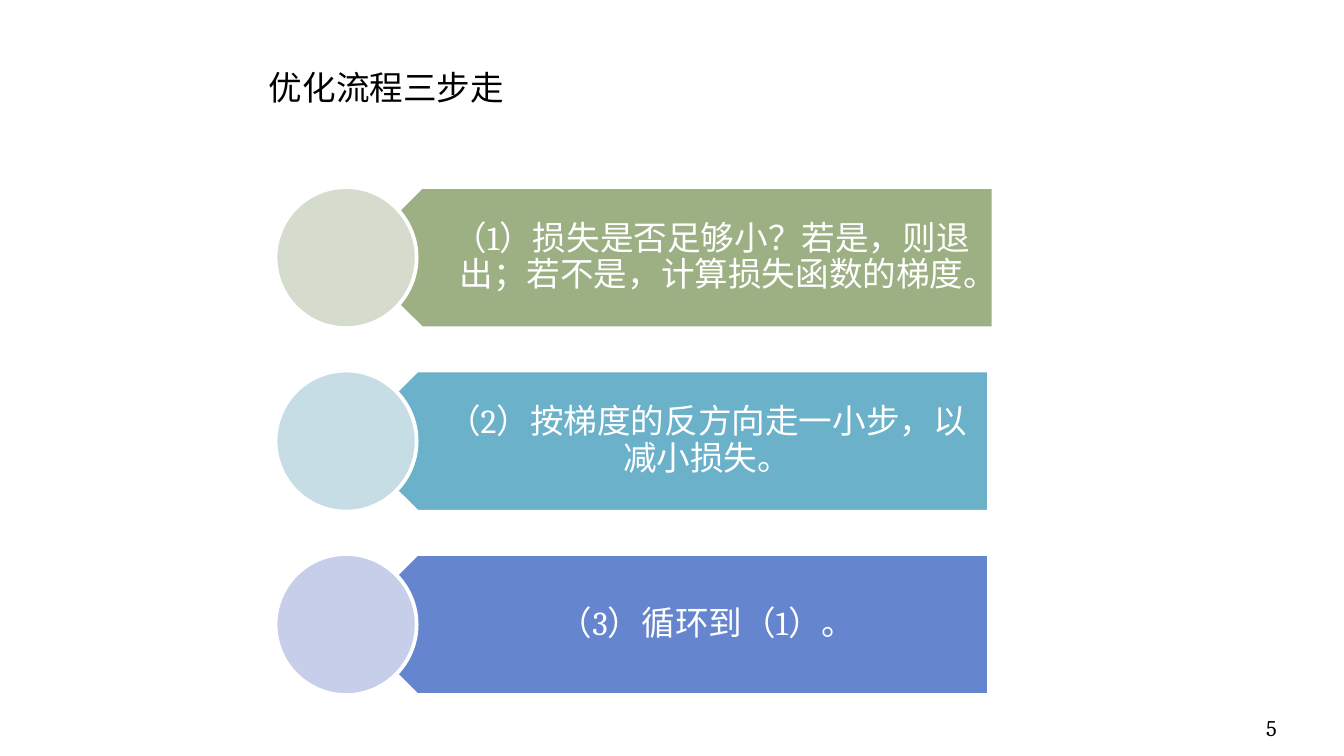
import pptx
import pptx.util
import pptx.dml.color
import pptx.enum.shapes
import pptx.enum.text

Pt = pptx.util.Pt
SHAPE = pptx.enum.shapes.MSO_SHAPE
ALIGN = pptx.enum.text.PP_ALIGN
ANCHOR = pptx.enum.text.MSO_ANCHOR

TITLE = "优化流程三步走"
PAGE = "5"
STEPS = [
    ("（1）损失是否足够小？若是，则退出；若不是，计算损失函数的梯度。", "9CB084", "D5DCCE", 188),
    ("（2）按梯度的反方向走一小步，以减小损失。", "6BB1C9", "C7DDE6", 185.6),
    ("（3）循环到（1）。", "6585CF", "C6CEE9", 185.6),
]
TOP, PITCH, SIZE = 100.2, 98.3, 75.6
CIRCLE_LEFT, ARROW_WIDTH = 147.6, 344.2
TEXT_INDENT = SIZE / 4


def paint(color_format, value):
    color_format.rgb = pptx.dml.color.RGBColor.from_string(value)


def write(sp, text, size=18, color="000000", align=ALIGN.LEFT,
          anchor=ANCHOR.TOP, insets=(7.2, 3.6, 7.2, 3.6), spacing=1.0):
    tf = sp.text_frame
    tf.word_wrap = True
    tf.auto_size = pptx.enum.text.MSO_AUTO_SIZE.NONE
    tf.vertical_anchor = anchor
    tf.margin_left, tf.margin_top, tf.margin_right, tf.margin_bottom = map(Pt, insets)
    p = tf.paragraphs[0]
    p.alignment = align
    p.line_spacing = spacing
    r = p.add_run()
    r.text = text
    r.font.size = Pt(size)
    r.font.name = "Cambria"
    paint(r.font.color, color)


def add_shape(s, kind, left, top, width, height, fill):
    sp = s.shapes.add_shape(kind, Pt(left), Pt(top), Pt(width), Pt(height))
    sp.shadow.inherit = False
    sp.fill.solid()
    paint(sp.fill.fore_color, fill)
    paint(sp.line.color, "FFFFFF")
    sp.line.width = Pt(2)
    return sp


def add_step(s, top, text, dark, light, left):
    arrow = add_shape(s, SHAPE.PENTAGON, left, top, ARROW_WIDTH, SIZE, dark)
    arrow.rotation = 180
    label = s.shapes.add_textbox(Pt(left + TEXT_INDENT), Pt(top),
                                 Pt(ARROW_WIDTH - TEXT_INDENT), Pt(SIZE))
    write(label, text, color="FFFFFF", align=ALIGN.CENTER, anchor=ANCHOR.MIDDLE,
          insets=(33.3, 5, 10, 5), spacing=0.9)
    add_shape(s, SHAPE.OVAL, CIRCLE_LEFT, top, SIZE, SIZE, light)


def main():
    prs = pptx.Presentation()
    prs.slide_width, prs.slide_height = Pt(720), Pt(405)
    s = prs.slides.add_slide(prs.slide_layouts[5])

    title = s.shapes.title
    title.left, title.top, title.width, title.height = Pt(136.8), Pt(32.4), Pt(244.8), Pt(29)
    write(title, TITLE)

    for i, step in enumerate(STEPS):
        add_step(s, TOP + i * PITCH, *step)

    number = s.shapes.add_textbox(Pt(624), Pt(378.7), Pt(60), Pt(21.6))
    write(number, PAGE, size=12, align=ALIGN.RIGHT, anchor=ANCHOR.BOTTOM,
          insets=(0, 3.6, 0, 3.6))

    prs.save("out.pptx")


if __name__ == "__main__":
    main()
